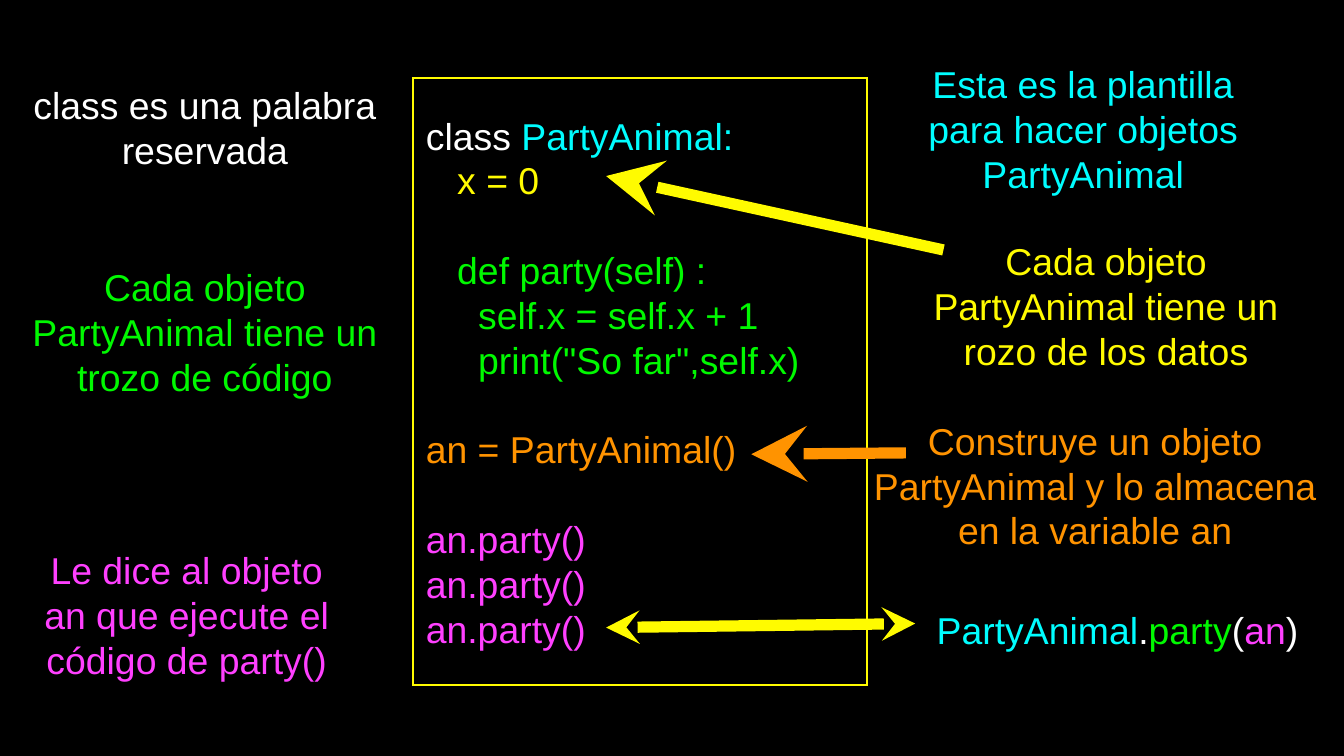
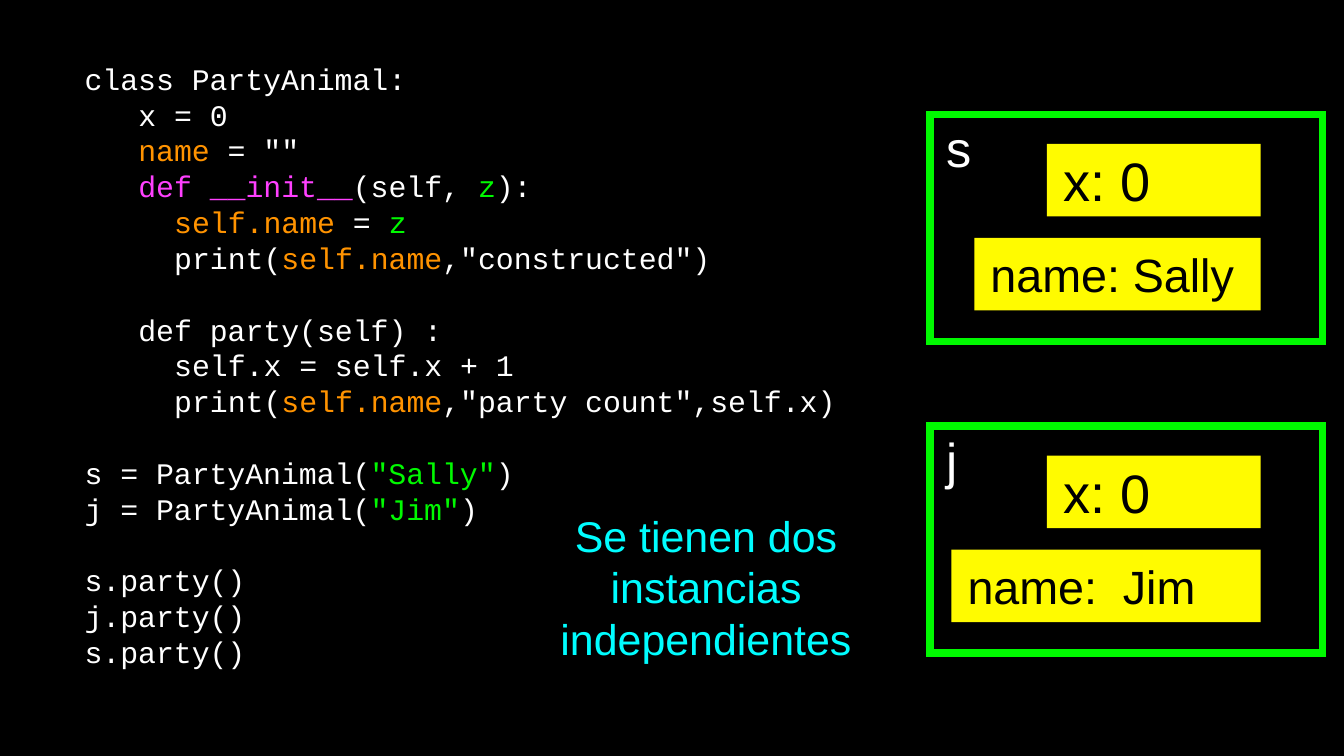
import pptx
import pptx.dml.color
import pptx.enum.shapes
import pptx.enum.text
import pptx.oxml.ns
import pptx.util
from lxml import etree

Inches = pptx.util.Inches
Pt = pptx.util.Pt
RECTANGLE = pptx.enum.shapes.MSO_SHAPE.RECTANGLE
STRAIGHT = pptx.enum.shapes.MSO_CONNECTOR.STRAIGHT
ANCHOR = pptx.enum.text.MSO_ANCHOR
ALIGN = pptx.enum.text.PP_ALIGN

BLACK, WHITE, YELLOW = "000000", "FFFFFF", "FFFB00"
CYAN, GREEN, ORANGE, PINK = "00FDFF", "00F900", "FF9300", "FF40FF"
SANS, MONO = "Arial", "Courier New"
SPACE_WIDTH = {SANS: 0.28, MONO: 0.6}
INSET = 0.02
LINE_HEIGHT = 1.2

TEMPLATE_CODE = [
    (0, 0, [("class ", WHITE), ("PartyAnimal:", CYAN)]),
    (3, 0, [("x = 0", YELLOW)]),
    (3, 1, [("def party(self) :", GREEN)]),
    (5, 0, [("self.x = self.x + 1", GREEN)]),
    (5, 0, [('print("So far",self.x)', GREEN)]),
    (0, 1, [("an = PartyAnimal()", ORANGE)]),
    (0, 1, [("an.party()", PINK)]),
    (0, 0, [("an.party()", PINK)]),
    (0, 0, [("an.party()", PINK)]),
]
TEMPLATE_NOTES = [
    ((6.74, 0.39, 2.64, 1.13), CYAN,
     "Esta es la plantilla para hacer objetos PartyAnimal"),
    ((0.08, 0.58, 2.89, 0.73), WHITE, "class es una palabra reservada"),
    ((6.84, 1.74, 2.78, 1.07), YELLOW,
     "Cada objeto PartyAnimal tiene un rozo de los datos"),
    ((0.08, 1.93, 2.89, 1.07), GREEN,
     "Cada objeto PartyAnimal tiene un trozo de código"),
    ((6.45, 3.12, 3.4, 0.98), ORANGE,
     "Construye un objeto PartyAnimal y lo almacena en la variable an"),
    ((0.27, 4.04, 2.24, 1.07), PINK,
     "Le dice al objeto an que ejecute el código de party()"),
]
CALL_SPANS = [("PartyAnimal", CYAN), (".", WHITE), ("party", GREEN),
              ("(", WHITE), ("an", PINK), (")", WHITE)]
INSTANCE_CODE = [
    (0, 0, [("class PartyAnimal:", WHITE)]),
    (3, 0, [("x = 0", WHITE)]),
    (3, 0, [("name", ORANGE), (' = ""', WHITE)]),
    (3, 0, [("def __init__", PINK), ("(self, ", WHITE), ("z", GREEN), ("):", WHITE)]),
    (5, 0, [("self.name", ORANGE), (" = ", WHITE), ("z", GREEN)]),
    (5, 0, [("print(", WHITE), ("self.name", ORANGE), (',"constructed")', WHITE)]),
    (3, 1, [("def party(self) :", WHITE)]),
    (5, 0, [("self.x = self.x + 1", WHITE)]),
    (5, 0, [("print(", WHITE), ("self.name", ORANGE),
            (',"party count",self.x)', WHITE)]),
    (0, 1, [("s = PartyAnimal(", WHITE), ('"Sally"', GREEN), (")", WHITE)]),
    (0, 0, [("j = PartyAnimal(", WHITE), ('"Jim"', GREEN), (")", WHITE)]),
    (0, 1, [("s.party()", WHITE)]),
    (0, 0, [("j.party()", WHITE)]),
    (0, 0, [("s.party()", WHITE)]),
]


def color(hex_string):
    """Turn a hex string into a colour."""
    return pptx.dml.color.RGBColor.from_string(hex_string)


def inches(values):
    """Turn plain numbers into lengths."""
    return [Inches(value) for value in values]


def add_mark(parent, tag, **attributes):
    """Append a drawing element to its parent."""
    etree.SubElement(parent, pptx.oxml.ns.qn(f"a:{tag}"), **attributes)


def prepare(shape, left_inset=INSET, anchor=ANCHOR.MIDDLE):
    """Set wrapping, anchor and insets of a shape and return its text frame."""
    frame = shape.text_frame
    frame.word_wrap = True
    frame.vertical_anchor = anchor
    frame.margin_left = Inches(left_inset)
    frame.margin_top = frame.margin_right = frame.margin_bottom = Inches(INSET)
    return frame


def write(para, spans, size, font=SANS, align=ALIGN.LEFT):
    """Fill a paragraph with coloured spans."""
    para.alignment = align
    for text, hex_string in spans:
        span = para.add_run()
        span.text = text
        span.font.size = Pt(size)
        span.font.name = font
        span.font.color.rgb = color(hex_string)


def add_rectangle(shapes, box, fill=None, outline=None, weight=1):
    """Add a rectangle with an optional fill and square-cornered outline."""
    shape = shapes.add_shape(RECTANGLE, *inches(box))
    shape.shadow.inherit = False
    if fill:
        shape.fill.solid()
        shape.fill.fore_color.rgb = color(fill)
    else:
        shape.fill.background()
    if outline:
        shape.line.color.rgb = color(outline)
        shape.line.width = Pt(weight)
        add_mark(shape._element.spPr.get_or_add_ln(), "miter", lim="800000")
    else:
        shape.line.fill.background()
    return shape


def add_note(page, box, spans, size=20):
    """Add a centred note."""
    frame = prepare(page.shapes.add_textbox(*inches(box)))
    write(frame.paragraphs[0], spans, size, align=ALIGN.CENTER)


def add_arrow(page, start, end, hex_string, heads, head_size):
    """Add a thick line with stealth heads at the named ends."""
    arrow = page.shapes.add_connector(STRAIGHT, *inches(start + end))
    arrow.line.color.rgb = color(hex_string)
    arrow.line.width = Pt(6)
    properties = arrow._element.spPr
    for head in heads:
        add_mark(properties.get_or_add_ln(), head,
                 type="stealth", w=head_size, len=head_size)
    add_mark(properties, "effectLst")


def write_code(frame, lines, size, font):
    """Write code lines, with indents and gaps as paragraph settings."""
    for number, (indent, blanks, spans) in enumerate(lines):
        para = frame.add_paragraph() if number else frame.paragraphs[0]
        write(para, spans, size, font)
        properties = para._p.get_or_add_pPr()
        properties.set("marL", str(Pt(indent * size * SPACE_WIDTH[font])))
        properties.set("indent", "0")
        para.space_before = Pt(blanks * size * LINE_HEIGHT)


def add_instance(page, box, label, name, name_left):
    """Draw one object with its two attributes, relative to its box."""
    left, top, width, height = box
    shapes = page.shapes.add_group_shape().shapes
    outer = add_rectangle(shapes, box, outline=GREEN, weight=4)
    frame = prepare(outer, 0.12, ANCHOR.TOP)
    write(frame.paragraphs[0], [(label, WHITE)], 27)
    for text, size, offset, drop in (("x: 0", 29, 0.87, 0.22),
                                     (name, 25, name_left, 0.92)):
        field_box = (left + offset, top + drop, width - 0.46 - offset, 0.54)
        field = prepare(add_rectangle(shapes, field_box, fill=YELLOW), 0.12)
        write(field.paragraphs[0], [(text, BLACK)], size)


def build_template_page(page):
    """Explain each part of the class with coloured notes."""
    code = add_rectangle(page.shapes, (3.07, 0.58, 3.38, 4.52), outline=YELLOW)
    write_code(prepare(code, 0.1), TEMPLATE_CODE, 20, SANS)
    for box, hex_string, text in TEMPLATE_NOTES:
        add_note(page, box, [(text, hex_string)])
    add_note(page, (6.81, 4.48, 3.01, 0.41), CALL_SPANS)
    add_arrow(page, (4.51, 1.31), (7.02, 1.86), YELLOW, ["headEnd"], "lg")
    add_arrow(page, (4.51, 4.67), (6.81, 4.64), YELLOW, ["headEnd", "tailEnd"], "med")
    add_arrow(page, (5.59, 3.38), (6.74, 3.37), ORANGE, ["headEnd"], "lg")


def build_instance_page(page):
    """Show the constructor beside two independent objects."""
    code = page.shapes.add_textbox(*inches((0.61, 0.19, 6.16, 5.05)))
    write_code(prepare(code), INSTANCE_CODE, 16, MONO)
    instances = [("s", "name: Sally", 0.33), ("j", "name:  Jim", 0.16)]
    for row, (label, name, name_left) in enumerate(instances):
        box = (6.92, 0.85 + row * 2.32, 2.92, 1.69)
        add_instance(page, box, label, name, name_left)
    add_note(page, (3.93, 3.8, 2.65, 1.13),
             [("Se tienen dos instancias independientes", CYAN)], 23)


def main():
    """Build the deck."""
    deck = pptx.Presentation()
    deck.slide_width = Inches(10)
    deck.slide_height = deck.slide_width * 9 // 16
    background = deck.slide_master.background.fill
    background.solid()
    background.fore_color.rgb = color(BLACK)
    for build in (build_template_page, build_instance_page):
        build(deck.slides.add_slide(deck.slide_layouts[6]))
    deck.save("out.pptx")


if __name__ == "__main__":
    main()
